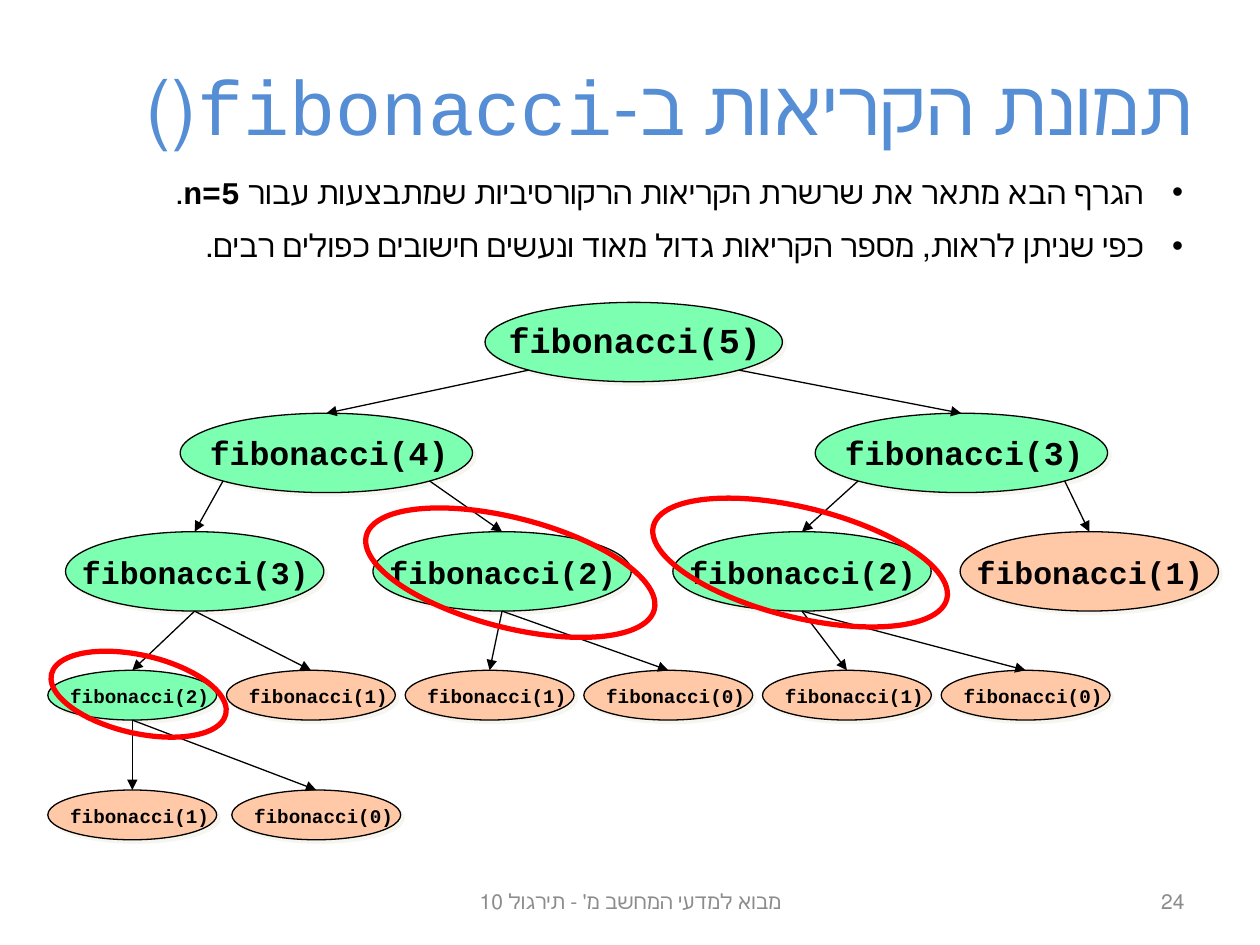
from dataclasses import dataclass
from math import sqrt
from typing import Optional

from lxml import etree
from pptx import Presentation
from pptx.dml.color import RGBColor
from pptx.enum.shapes import MSO_CONNECTOR, MSO_SHAPE
from pptx.enum.text import MSO_ANCHOR, MSO_AUTO_SIZE, PP_ALIGN
from pptx.oxml import parse_xml
from pptx.oxml.ns import nsdecls, qn
from pptx.util import Inches, Pt

ELLIPSE = MSO_SHAPE.OVAL
STRAIGHT = MSO_CONNECTOR.STRAIGHT
TOP, MIDDLE = MSO_ANCHOR.TOP, MSO_ANCHOR.MIDDLE
RIGHT, CENTER = PP_ALIGN.RIGHT, PP_ALIGN.CENTER
NO_FIT = MSO_AUTO_SIZE.NONE

COLORS = {
    "call": "7DFFB2",
    "base": "FFC9A7",
    "ink": "000000",
    "title": "558ED5",
    "footer": "8C8C8C",
    "repeat": "FF0000",
    "shadow": "EEECE1",
}
CODE, HEBREW, TITLE_FONT, FOOTER_FONT = "Courier New", "Times New Roman", "Karla", "Calibri"

# The slide is a grid of 100 columns and 75 rows.
SLIDE_WIDTH, SLIDE_HEIGHT = Inches(10), Inches(7.5)
COLUMN, ROW = SLIDE_WIDTH / 100, SLIDE_HEIGHT / 75
LEAF_LEFT, LEAF_STEP = 3.8, 14.18


@dataclass(frozen=True)
class Level:
    top: float
    width: float
    height: float
    size: int
    text_shift: float
    text_drop: float
    text_width: float
    text_height: float
    spread: bool  # branches leave from the lower diagonals, not the bottom


@dataclass(frozen=True)
class Node:
    number: int
    level: Level
    left: float
    parent: Optional["Node"] = None

    @property
    def center(self) -> float:
        return self.left + self.level.width / 2


@dataclass(frozen=True)
class Ring:
    left: float
    top: float
    width: float
    height: float
    angle: float


@dataclass(frozen=True)
class Span:
    text: str
    font: str
    bold: bool = False


ROOT = Level(24, 23.6, 6.3, 20, -1.9, 0.8, 24.8, 4.3, True)
SECOND = Level(32.8, 23.2, 6.3, 19, -2.5, 1.0, 24.8, 4.2, True)
THIRD = Level(42.2, 20.5, 6.3, 18, -1.7, 1.2, 22, 4, False)
FOURTH = Level(53.2, 13.4, 3.95, 11, 0.2, 0.6, 13.6, 2.8, False)
FIFTH = Level(62.7, 13.4, 3.95, 11, 0.2, 0.6, 13.6, 2.8, False)


def build_tree() -> list[Node]:
    five = Node(5, ROOT, 38.5)
    four, three = Node(4, SECOND, 14.3, five), Node(3, SECOND, 64.7, five)
    third = [
        Node(3, THIRD, 5.2, four),
        Node(2, THIRD, 29.6, four),
        Node(2, THIRD, 53.4, three),
        Node(1, THIRD, 76.2, three),
    ]
    fourth = [
        Node(number, FOURTH, LEAF_LEFT + LEAF_STEP * index, third[index // 2])
        for index, number in enumerate((2, 1, 1, 0, 1, 0))
    ]
    fifth = [Node(1, FIFTH, LEAF_LEFT, fourth[0]), Node(0, FIFTH, 18.4, fourth[0])]
    return [five, four, three, *third, *fourth, *fifth]


RINGS = [
    Ring(51.5, 40.3, 24, 8.7, 13.9),
    Ring(3.9, 52, 14.2, 6.2, 12.9),
    Ring(28.7, 41.1, 23.6, 8.7, 14.4),
]
BULLETS = [
    [
        Span("הגרף הבא מתאר את שרשרת הקריאות הרקורסיביות שמתבצעות עבור ", HEBREW),
        Span("n=5", CODE, True),
        Span(". ", HEBREW),
    ],
    [Span("כפי שניתן לראות, מספר הקריאות גדול מאוד ונעשים חישובים כפולים רבים.", HEBREW)],
]


def grid(left: float, top: float, width: float, height: float) -> list[int]:
    """Turn columns and rows into slide lengths."""
    return [round(left * COLUMN), round(top * ROW), round(width * COLUMN), round(height * ROW)]


def place(box, *area: float) -> None:
    box.left, box.top, box.width, box.height = grid(*area)


def write(box, paragraphs: list[list[Span]], *, size: float, color: str = "ink",
          align=RIGHT, anchor=TOP, bulleted: bool = False) -> None:
    """Fill a box with right-to-left paragraphs."""
    frame = box.text_frame
    frame.word_wrap, frame.auto_size, frame.vertical_anchor = True, NO_FIT, anchor
    for index, spans in enumerate(paragraphs):
        para = frame.add_paragraph() if index else frame.paragraphs[0]
        para.alignment = align
        para.space_before = Pt(0)
        properties = para._p.get_or_add_pPr()
        properties.set("rtl", "1")
        if bulleted:
            para.space_after = Pt(size / 2)
            properties.set("marL", str(Inches(0.31)))
            properties.set("indent", str(-Inches(0.31)))
            etree.SubElement(properties, qn("a:buChar")).set("char", "•")
        for span in spans:
            run = para.add_run()
            run.text = span.text
            run.font.name, run.font.size, run.font.bold = span.font, Pt(size), span.bold
            run.font.color.rgb = RGBColor.from_string(COLORS[color])


def add_ellipse(shapes, area: list[int], *, fill: Optional[str], line: str, weight: float):
    ellipse = shapes.add_shape(ELLIPSE, *area)
    ellipse.shadow.inherit = False
    if fill:
        ellipse.fill.solid()
        ellipse.fill.fore_color.rgb = RGBColor.from_string(COLORS[fill])
    else:
        ellipse.fill.background()
    ellipse.line.color.rgb = RGBColor.from_string(COLORS[line])
    ellipse.line.width = Pt(weight)
    return ellipse


def add_soft_shadow(shape) -> None:
    effects = shape._element.spPr.find(qn("a:effectLst"))
    effects.append(parse_xml(
        f'<a:outerShdw {nsdecls("a")} dist="{Pt(2.8)}" dir="2700000" algn="ctr" rotWithShape="0">'
        f'<a:srgbClr val="{COLORS["shadow"]}"><a:alpha val="50000"/></a:srgbClr></a:outerShdw>'))


def add_branch(shapes, parent: Node, child: Node) -> None:
    level = parent.level
    start_x, start_y = parent.center, level.top + level.height
    if level.spread:
        side = 1 if child.center > parent.center else -1
        start_x += side * level.width / 2 / sqrt(2)
        start_y = level.top + level.height / 2 * (1 + 1 / sqrt(2))
    arrow = shapes.add_connector(STRAIGHT, *grid(start_x, start_y, child.center, child.level.top))
    arrow.line.color.rgb = RGBColor.from_string(COLORS["ink"])
    arrow.line.width = Pt(0.75)
    etree.SubElement(arrow.line._get_or_add_ln(), qn("a:tailEnd")).set("type", "triangle")
    etree.SubElement(arrow._element.spPr, qn("a:effectLst"))


def add_node(page, node: Node) -> None:
    level = node.level
    shapes = page.shapes.add_group_shape().shapes
    ellipse = add_ellipse(shapes, grid(node.left, level.top, level.width, level.height),
                          fill="call" if node.number > 1 else "base", line="ink", weight=0.75)
    add_soft_shadow(ellipse)
    label = shapes.add_textbox(*grid(node.left + level.text_shift, level.top + level.text_drop,
                                     level.text_width, level.text_height))
    write(label, [[Span(f"fibonacci({node.number})", CODE, True)]], size=level.size)
    if node.parent:
        add_branch(shapes, node.parent, node)


def main() -> None:
    deck = Presentation()
    deck.slide_width, deck.slide_height = SLIDE_WIDTH, SLIDE_HEIGHT
    page = deck.slides.add_slide(deck.slide_layouts[1])
    title, body = page.shapes.title, page.placeholders[1]
    place(title, 4.3, 2.1, 91.4, 12.5)
    write(title, [[Span("תמונת הקריאות ב-", TITLE_FONT), Span("fibonacci()", CODE)]],
          size=44, color="title", anchor=MIDDLE)
    place(body, 5.9, 13.2, 89, 8.6)
    write(body, BULLETS, size=18, bulleted=True)
    for node in build_tree():
        add_node(page, node)
    for ring in RINGS:
        outline = add_ellipse(page.shapes, grid(ring.left, ring.top, ring.width, ring.height),
                              fill=None, line="repeat", weight=3)
        outline.rotation = ring.angle
    for text, left, width, align in (("מבוא למדעי המחשב מ' - תירגול 10", 34.2, 31.7, CENTER),
                                     ("24", 71.7, 23.3, RIGHT)):
        footer = page.shapes.add_textbox(*grid(left, 69.5, width, 4))
        write(footer, [[Span(text, FOOTER_FONT)]], size=12, color="footer",
              align=align, anchor=MIDDLE)
    deck.save("out.pptx")


if __name__ == "__main__":
    main()
